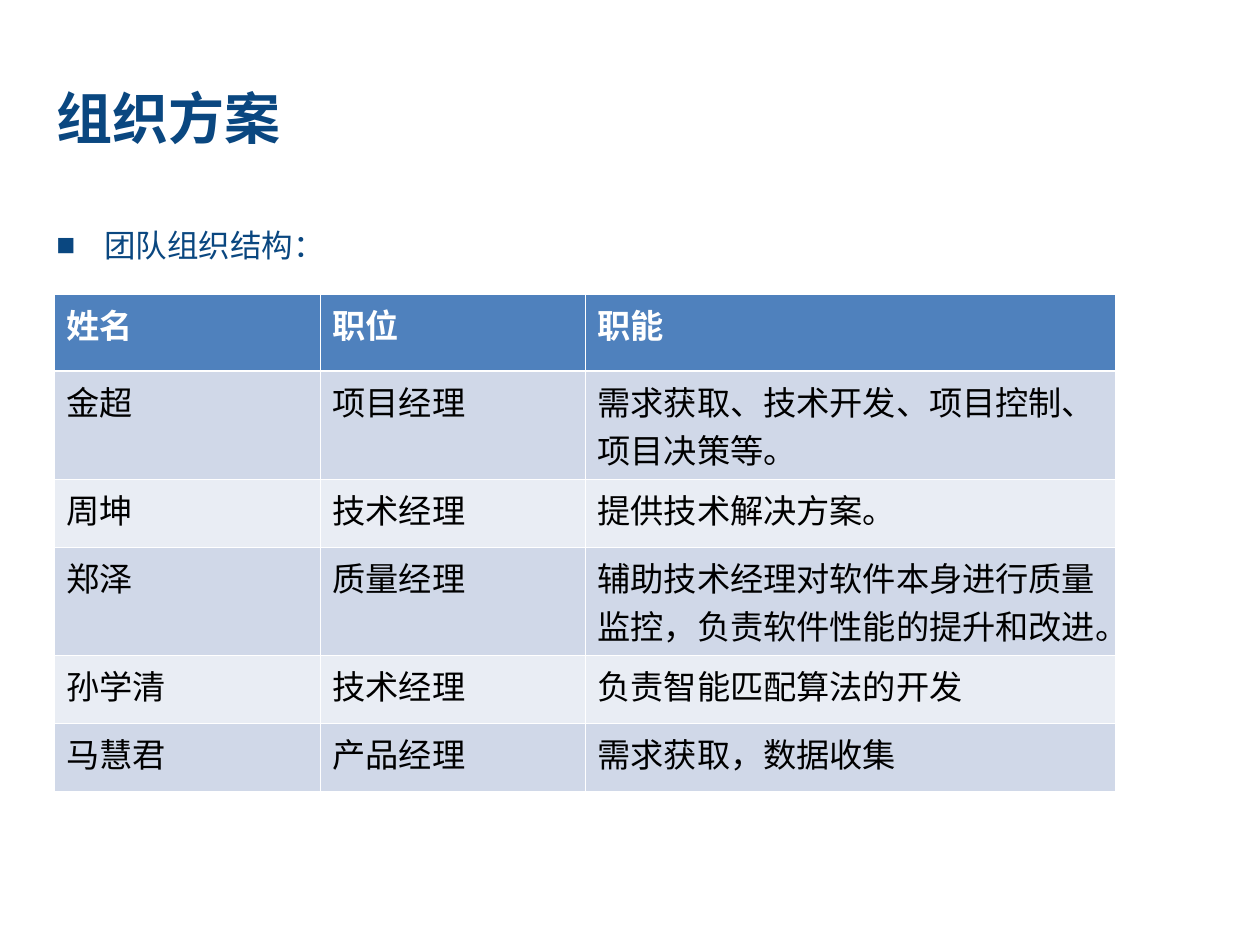
from lxml.etree import SubElement
from pptx import Presentation
from pptx.dml.color import RGBColor
from pptx.enum.lang import MSO_LANGUAGE_ID as Language
from pptx.enum.text import MSO_ANCHOR as Anchor
from pptx.oxml.ns import qn
from pptx.util import Emu, Pt

COLORS = {
    "navy": "0A4780",
    "header": "4F81BD",
    "band_dark": "D0D8E8",
    "band_light": "E9EDF4",
    "white": "FFFFFF",
    "black": "000000",
}


def px(length):
    return Emu(round(length * 914400 / 126))


def add_run(paragraph, text, font_name, size, color, bold=False):
    run = paragraph.add_run()
    run.text = text
    run.font.name = font_name
    run.font.size = Pt(size)
    run.font.bold = bold
    run.font.color.rgb = RGBColor.from_string(COLORS[color])
    run.font.language_id = Language.SIMPLIFIED_CHINESE


presentation = Presentation()
presentation.slide_width = px(1260)
presentation.slide_height = px(945)
slide = presentation.slides.add_slide(presentation.slide_layouts[6])

# Title
title = slide.shapes.add_textbox(px(44), px(38), px(1153), px(158))
title.text_frame.word_wrap = True
title.text_frame.vertical_anchor = Anchor.MIDDLE
add_run(title.text_frame.paragraphs[0], "组织方案", "Arial", 32, "navy", bold=True)

# Bulleted line
body = slide.shapes.add_textbox(px(44), px(220), px(1160), px(679))
body.text_frame.word_wrap = True
paragraph = body.text_frame.paragraphs[0]
properties = paragraph._p.get_or_add_pPr()
properties.set("marL", str(px(48)))
properties.set("indent", str(-px(48)))
bullet_color = SubElement(properties, qn("a:buClr"))
SubElement(bullet_color, qn("a:srgbClr"), val=COLORS["navy"])
SubElement(properties, qn("a:buFont"), typeface="Arial")
SubElement(properties, qn("a:buChar"), char="■")
add_run(paragraph, "团队组织结构：", "Arial", 18, "navy")

# Team table
team = [
    ("姓名", "职位", "职能"),
    ("金超", "项目经理", "需求获取、技术开发、项目控制、项目决策等。"),
    ("周坤", "技术经理", "提供技术解决方案。"),
    ("郑泽", "质量经理", "辅助技术经理对软件本身进行质量监控，负责软件性能的提升和改进。"),
    ("孙学清", "技术经理", "负责智能匹配算法的开发"),
    ("马慧君", "产品经理", "需求获取，数据收集"),
]
column_widths = [266, 265, 530]
row_heights = [77, 108, 68, 108, 68, 68]
frame = slide.shapes.add_table(
    len(team), len(column_widths), px(54), px(294),
    px(sum(column_widths)), px(sum(row_heights)),
)
table = frame.table
for column, width in zip(table.columns, column_widths):
    column.width = px(width)

for row_index, (row, height, texts) in enumerate(zip(table.rows, row_heights, team)):
    row.height = px(height)
    is_header = row_index == 0
    if is_header:
        fill_color = "header"
    else:
        fill_color = "band_dark" if row_index % 2 else "band_light"

    for cell, text in zip(row.cells, texts):
        # White borders, heavier between the header and the first row
        heavy_side = {0: "lnB", 1: "lnT"}.get(row_index)
        for side in ("lnL", "lnR", "lnT", "lnB"):
            border_width = Pt(1.47 if side == heavy_side else 0.45)
            border = SubElement(cell._tc.get_or_add_tcPr(), qn(f"a:{side}"),
                                w=str(border_width))
            border_fill = SubElement(border, qn("a:solidFill"))
            SubElement(border_fill, qn("a:srgbClr"), val=COLORS["white"])

        cell.fill.solid()
        cell.fill.fore_color.rgb = RGBColor.from_string(COLORS[fill_color])
        add_run(cell.text_frame.paragraphs[0], text, "Calibri", 19,
                "white" if is_header else "black", bold=is_header)

presentation.save("out.pptx")
